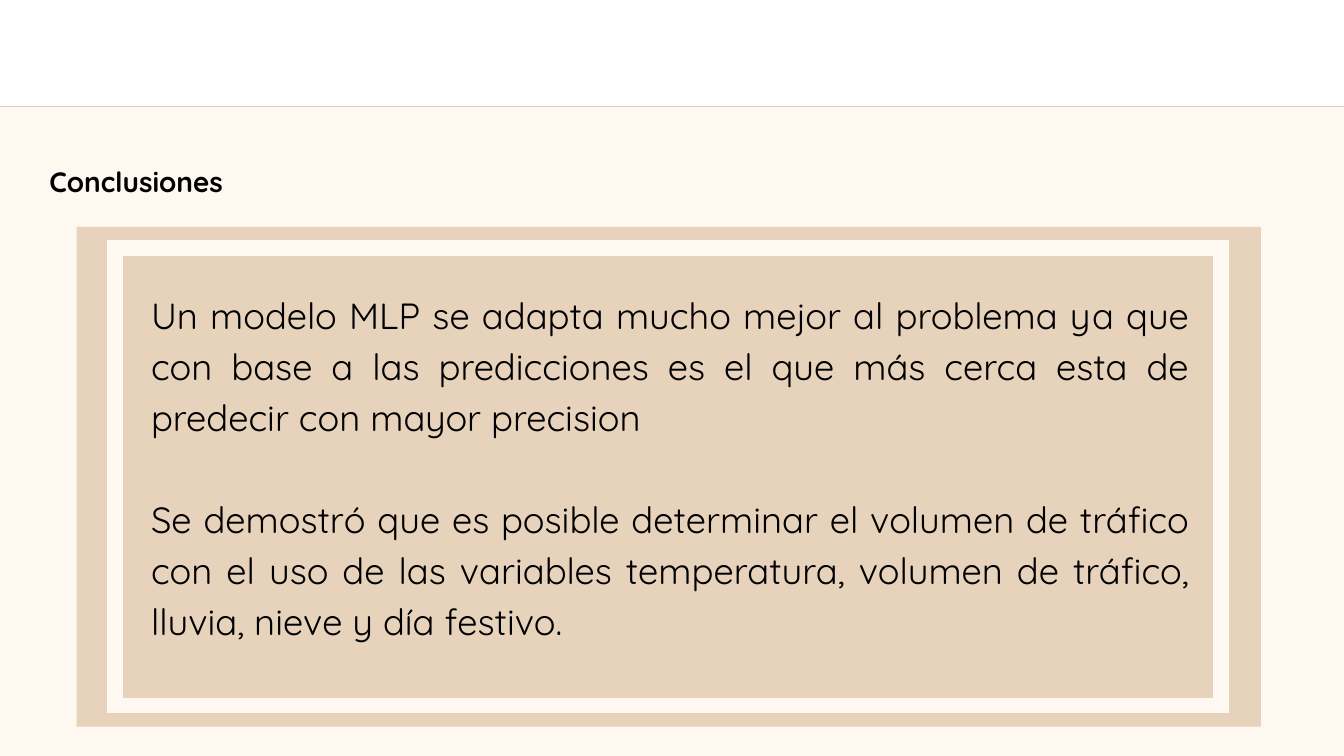
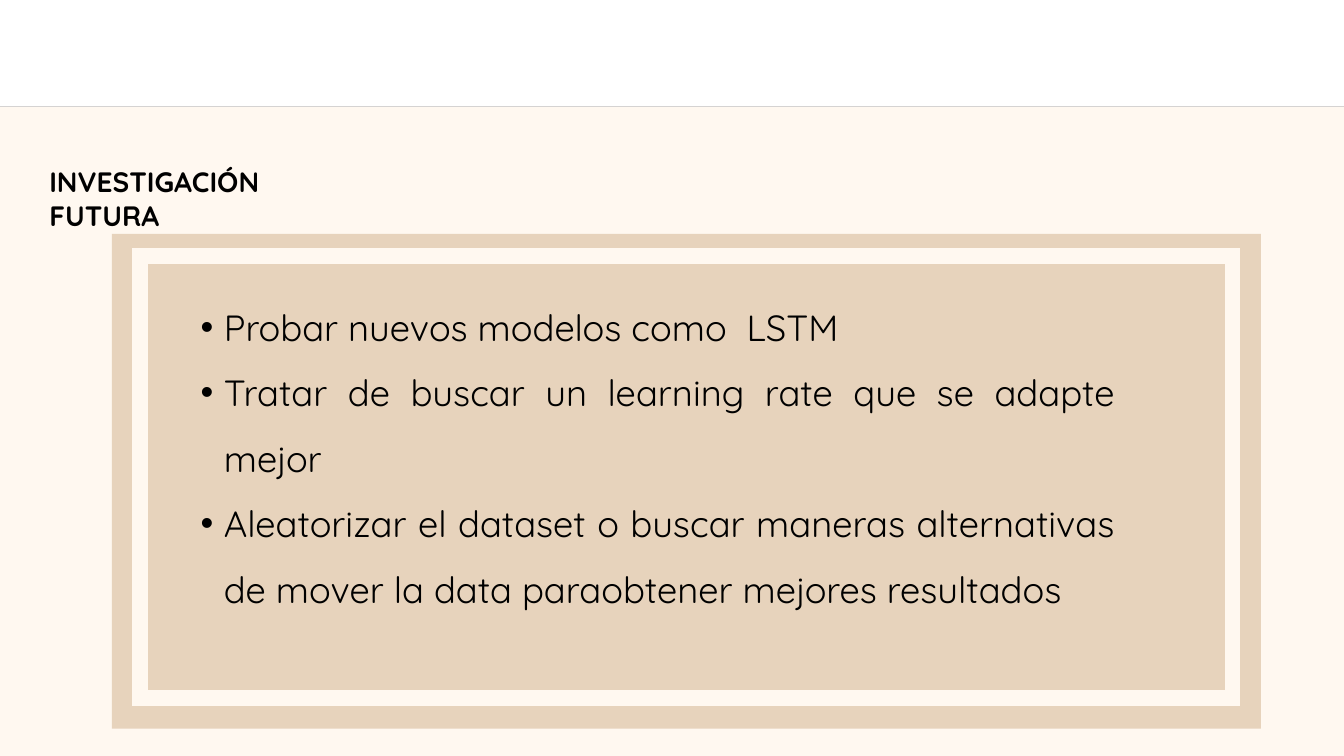
from dataclasses import dataclass

from lxml.etree import SubElement
from pptx import Presentation
from pptx.dml.color import RGBColor
from pptx.enum.shapes import MSO_CONNECTOR as Connector, MSO_SHAPE as Preset
from pptx.enum.text import MSO_ANCHOR as Anchor, MSO_AUTO_SIZE as AutoSize, PP_ALIGN as Align
from pptx.oxml.ns import qn
from pptx.shapes.autoshape import Shape
from pptx.slide import Slide
from pptx.text.text import Font, TextFrame
from pptx.util import Length, Pt

BLACK = RGBColor(0x00, 0x00, 0x00)
CREAM = RGBColor(0xFF, 0xF8, 0xF0)
SAND = RGBColor(0xE7, 0xD3, 0xBC)
RULE_GREY = RGBColor(0xD0, 0xCE, 0xCE)

FONT_NAME = "Quicksand"
TITLE_SIZE = Pt(20)
BODY_SIZE = Pt(26)
SLIDE_WIDTH, SLIDE_HEIGHT = Pt(960), Pt(540)
HEADER_HEIGHT = Pt(76.3)
FRAME_WEIGHT = Pt(11.25)
BULLET_MARGIN, BULLET_INDENT = Pt(34), Pt(-16.5)


@dataclass(frozen=True)
class Box:
    left: float
    top: float
    width: float
    height: float

    def lengths(self) -> tuple[Length, Length, Length, Length]:
        return Pt(self.left), Pt(self.top), Pt(self.width), Pt(self.height)


@dataclass(frozen=True)
class Section:
    title: str
    title_width: float
    card: Box
    frame: Box
    body: Box
    paragraphs: tuple[str, ...]
    line_spacing: Length | float
    paragraph_gap: Length
    bulleted: bool


SECTIONS = (
    Section(
        title="Conclusiones",
        title_width=181.4,
        card=Box(54.7, 162, 846, 357),
        frame=Box(82, 177, 790, 327),
        body=Box(100.8, 200.9, 756.7, 258.5),
        paragraphs=(
            "Un modelo MLP se adapta mucho mejor al problema ya que con base a las "
            "predicciones es el que más cerca esta de predecir con mayor precision",
            "Se demostró que es posible determinar el volumen de tráfico con el uso de las "
            "variables temperatura, volumen de tráfico, lluvia, nieve y día festivo.",
        ),
        line_spacing=Pt(36.4),
        paragraph_gap=Pt(36.4),
        bulleted=False,
    ),
    Section(
        title="INVESTIGACIÓN FUTURA",
        title_width=245.5,
        card=Box(79.9, 167, 820.8, 353.5),
        frame=Box(100, 183, 780.5, 315.4),
        body=Box(118.8, 198.7, 685.4, 319),
        paragraphs=(
            "Probar nuevos modelos como  LSTM",
            "Tratar de buscar un learning rate que se adapte mejor",
            "Aleatorizar el dataset o buscar maneras alternativas de mover la data "
            "paraobtener mejores resultados",
        ),
        line_spacing=1.5,
        paragraph_gap=Pt(0),
        bulleted=True,
    ),
)


def style_font(font: Font, size: Length, bold: bool = False) -> None:
    font.name = FONT_NAME
    font.size = size
    font.bold = bold
    font.color.rgb = BLACK


def prepare_text(text_frame: TextFrame) -> None:
    text_frame.word_wrap = True
    text_frame.auto_size = AutoSize.NONE
    text_frame.vertical_anchor = Anchor.TOP


def add_panel(slide: Slide, box: Box, color: RGBColor) -> Shape:
    panel = slide.shapes.add_shape(Preset.RECTANGLE, *box.lengths())
    panel.shadow.inherit = False
    panel.fill.solid()
    panel.fill.fore_color.rgb = color
    panel.line.fill.background()
    return panel


def add_frame(slide: Slide, box: Box) -> None:
    frame = slide.shapes.add_shape(Preset.RECTANGLE, *box.lengths())
    frame.shadow.inherit = False
    frame.fill.background()
    frame.line.color.rgb = CREAM
    frame.line.width = FRAME_WEIGHT
    outline = frame.element.spPr.find(qn("a:ln"))
    SubElement(outline, qn("a:miter"), lim="800000")


def add_backdrop(slide: Slide) -> Shape:
    rule = slide.shapes.add_connector(
        Connector.STRAIGHT, Pt(0), HEADER_HEIGHT, SLIDE_WIDTH, HEADER_HEIGHT
    )
    rule.line.color.rgb = RULE_GREY
    rule.line.width = Pt(1)
    SubElement(rule.element.spPr, qn("a:effectLst"))
    header = HEADER_HEIGHT.pt
    return add_panel(
        slide, Box(0, header, SLIDE_WIDTH.pt, SLIDE_HEIGHT.pt - header), CREAM
    )


def place_title(slide: Slide, section: Section, backdrop: Shape) -> None:
    title = slide.shapes.title
    backdrop.element.addnext(title.element)
    title.left, title.top, title.width, title.height = Box(
        28, 113.8, section.title_width, 31.7
    ).lengths()
    title.text_frame.text = section.title
    prepare_text(title.text_frame)
    heading = title.text_frame.paragraphs[0]
    heading.alignment = Align.LEFT
    style_font(heading.runs[0].font, TITLE_SIZE, bold=True)


def add_body(slide: Slide, section: Section) -> None:
    text_frame = slide.shapes.add_textbox(*section.body.lengths()).text_frame
    text_frame.text = "\n".join(section.paragraphs)
    prepare_text(text_frame)
    for index, paragraph in enumerate(text_frame.paragraphs):
        paragraph.alignment = Align.JUSTIFY
        paragraph.line_spacing = section.line_spacing
        paragraph.space_before = section.paragraph_gap if index else Pt(0)
        style_font(paragraph.runs[0].font, BODY_SIZE)
        if section.bulleted:
            properties = paragraph._p.get_or_add_pPr()
            properties.set("marL", str(BULLET_MARGIN))
            properties.set("indent", str(BULLET_INDENT))
            SubElement(properties, qn("a:buFont"), typeface="Arial")
            SubElement(properties, qn("a:buChar"), char="•")


def build_slide(slide: Slide, section: Section) -> None:
    place_title(slide, section, add_backdrop(slide))
    add_panel(slide, section.card, SAND)
    add_frame(slide, section.frame)
    add_body(slide, section)


def main() -> None:
    presentation = Presentation()
    presentation.slide_width = SLIDE_WIDTH
    presentation.slide_height = SLIDE_HEIGHT
    title_only = presentation.slide_layouts[5]
    for section in SECTIONS:
        build_slide(presentation.slides.add_slide(title_only), section)
    presentation.save("out.pptx")


if __name__ == "__main__":
    main()
